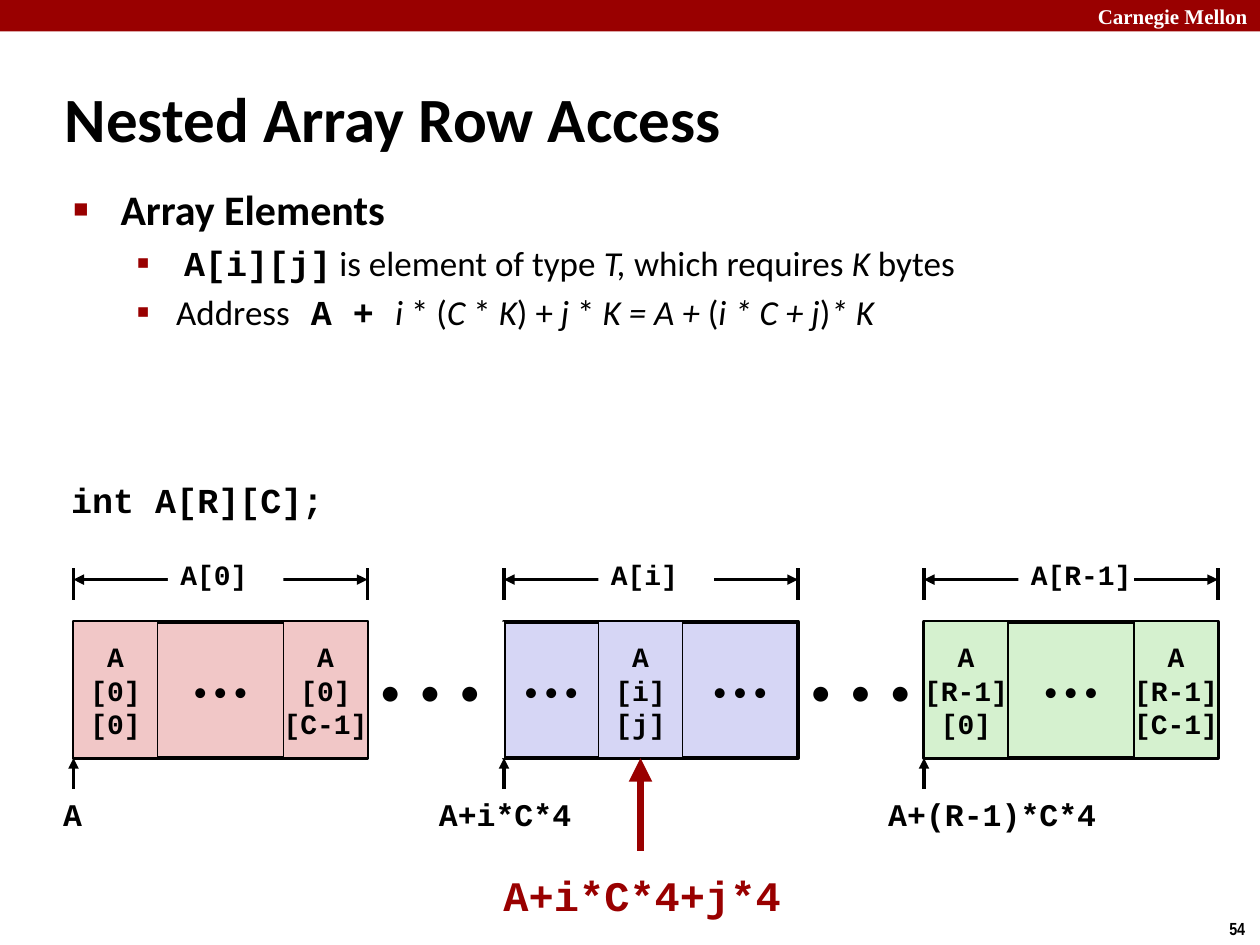
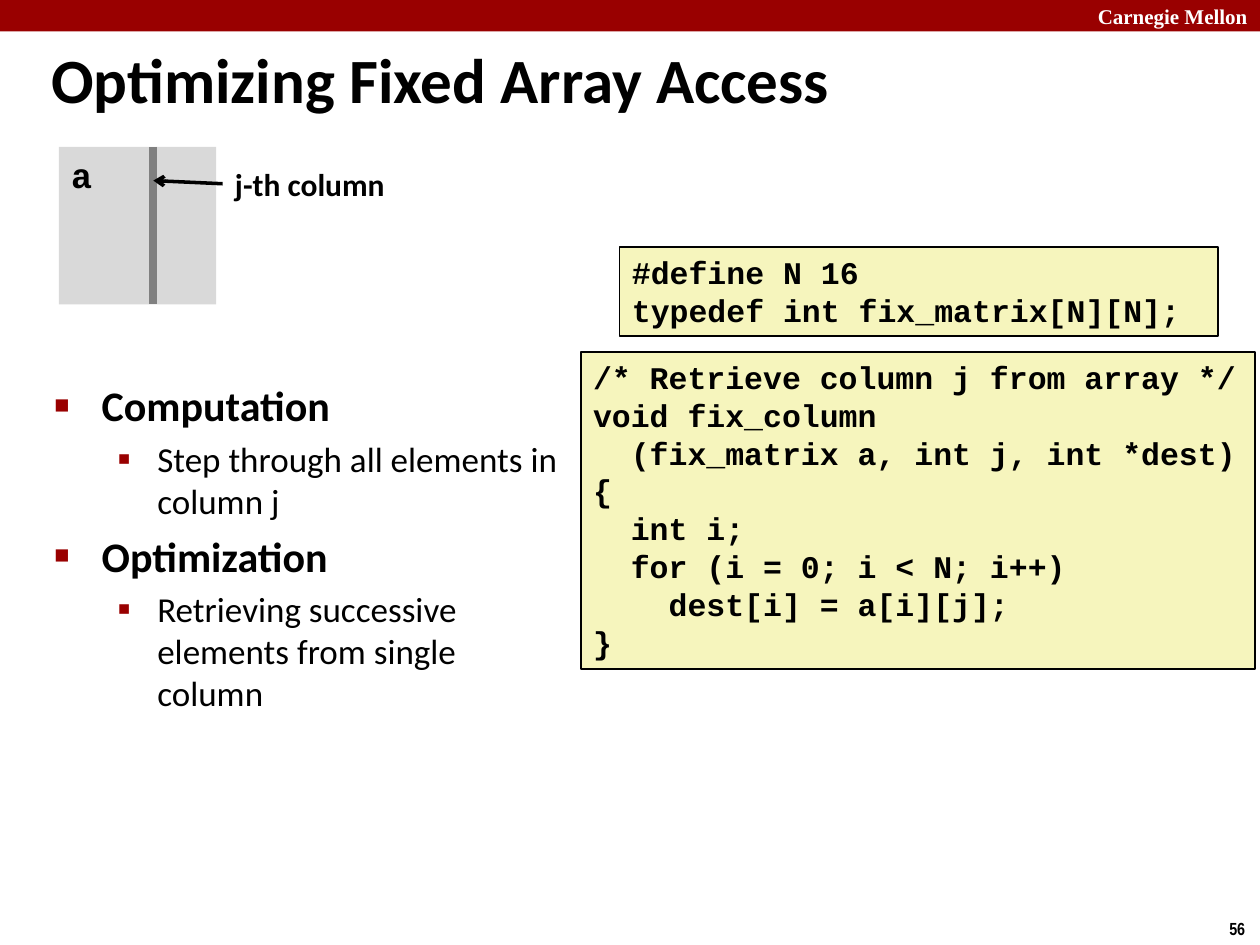
from dataclasses import dataclass
from typing import Any, NamedTuple

import pptx
import pptx.dml.color
import pptx.enum.shapes
import pptx.enum.text
import pptx.oxml
import pptx.oxml.ns
import pptx.util
from lxml import etree

EMU_PER_PX = 7620  # 120 px to the inch
LEFT, CENTER, RIGHT = (pptx.enum.text.PP_ALIGN.LEFT, pptx.enum.text.PP_ALIGN.CENTER,
                       pptx.enum.text.PP_ALIGN.RIGHT)
TOP, MIDDLE = pptx.enum.text.MSO_ANCHOR.TOP, pptx.enum.text.MSO_ANCHOR.MIDDLE
STRAIGHT = pptx.enum.shapes.MSO_CONNECTOR.STRAIGHT
RECTANGLE = pptx.enum.shapes.MSO_SHAPE.RECTANGLE


@dataclass(frozen=True)
class Theme:
    red: str = "990000"
    black: str = "000000"
    white: str = "FFFFFF"
    pink: str = "F1C7C7"
    lavender: str = "D6D6F5"
    green: str = "D5F1CF"
    code_fill: str = "F6F5BD"
    matrix: str = "D9D9D9"
    column: str = "808080"
    sans: str = "Calibri"
    mono: str = "Courier New"
    serif: str = "Times New Roman"
    narrow: str = "Arial Narrow"
    title: int = 36
    heading: int = 24
    body: int = 20
    code: int = 18
    cell: int = 16
    header: int = 12
    number: int = 10


THEME = Theme()


class Area(NamedTuple):
    left: int
    top: int
    width: int
    height: int


class Style(NamedTuple):
    size: int
    name: str = THEME.mono
    bold: bool = True
    color: str = THEME.black
    align: Any = LEFT
    anchor: Any = TOP
    wrap: bool = False


class Span(NamedTuple):
    text: str
    format: dict = {}


class Bullet(NamedTuple):
    level: int
    spans: list


class Level(NamedTuple):
    mark: str
    percent: int
    margin: int
    hang: int
    before: int
    format: dict


class Block(NamedTuple):
    left: int
    name: str
    fill: str
    cells: dict  # offset: lines of text
    gaps: dict  # offset: width
    pointer: str
    pointer_area: Area


LEVELS = [
    Level("■", 60, 45, 45, 5, {"size": pptx.util.Pt(THEME.heading), "bold": True, "name": THEME.sans}),
    Level("▪", 110, 98, 38, 4, {"size": pptx.util.Pt(THEME.body), "bold": False, "name": THEME.sans}),
]
MONO = {"name": THEME.mono, "bold": True}
ITALIC = {"italic": True}

CELL = Style(THEME.cell, align=CENTER, anchor=MIDDLE)
DOTS = CELL._replace(name=THEME.sans, bold=False)
WIDE_DOTS = DOTS._replace(size=THEME.heading, align=LEFT)
LABEL = Style(THEME.cell, anchor=MIDDLE)
CODE = Style(THEME.code, wrap=True)
TITLE = Style(THEME.title, THEME.sans, anchor=MIDDLE, wrap=True)

# Array row geometry
ROW_TOP, ROW_HEIGHT, ROW_WIDTH, CELL_WIDTH = 592, 130, 280, 80
ROW_BOTTOM = ROW_TOP + ROW_HEIGHT
FIRST = Block(70, "A[0]", THEME.pink, {0: ["A", "[0]", "[0]"], 200: ["A", "[0]", "[C-1]"]},
              {80: 120}, "A", Area(43, 751, 52, 48))
MIDDLE_ROW = Block(480, "A[i]", THEME.lavender, {90: ["A", "[i]", "[j]"]},
                   {0: 90, 170: 110}, "A+i*C*4", Area(386, 751, 190, 48))
LAST = Block(880, "A[R-1]", THEME.green, {0: ["A", "[R-1]", "[0]"], 200: ["A", "[R-1]", "[C-1]"]},
             {80: 120}, "A+(R-1)*C*4", Area(830, 751, 230, 48))


# Basic parts
def px(value: int) -> int:
    return pptx.util.Emu(value * EMU_PER_PX)


def rgb(color: str):
    return pptx.dml.color.RGBColor.from_string(color)


def apply(target, values: dict) -> None:
    for name, value in values.items():
        setattr(target, name, value)


def write(box, lines: list[str], style: Style, spacing: int = 0) -> None:
    frame = box.text_frame
    apply(frame, {"word_wrap": style.wrap, "vertical_anchor": style.anchor})
    for index, line in enumerate(lines):
        para = frame.add_paragraph() if index else frame.paragraphs[0]
        para.alignment = style.align
        span = para.add_run()
        span.text = line
        apply(span.font, {"size": pptx.util.Pt(style.size), "name": style.name, "bold": style.bold})
        span.font.color.rgb = rgb(style.color)
        if spacing:
            span.font._element.set("spc", str(spacing))


def add_text(page, area: Area, lines: list[str], style: Style):
    box = page.shapes.add_textbox(*map(px, area))
    write(box, lines, style)
    return box


def add_box(page, area: Area, fill: str, line_width: float = 0):
    box = page.shapes.add_shape(RECTANGLE, *map(px, area))
    box.shadow.inherit = False
    box.fill.solid()
    box.fill.fore_color.rgb = rgb(fill)
    if line_width:
        box.line.color.rgb = rgb(THEME.black)
        box.line.width = pptx.util.Pt(line_width)
    else:
        box.line.fill.background()
    return box


def add_line(page, start: tuple[int, int], end: tuple[int, int], width: float = 2,
             color: str = THEME.black, head: str = "", tail: str = ""):
    line = page.shapes.add_connector(STRAIGHT, *map(px, start + end))
    line.line.color.rgb = rgb(color)
    line.line.width = pptx.util.Pt(width)
    properties = line.element.spPr
    outline = properties.find(pptx.oxml.ns.qn("a:ln"))
    for tag, kind in (("a:headEnd", head), ("a:tailEnd", tail)):
        if kind:
            etree.SubElement(outline, pptx.oxml.ns.qn(tag), type=kind)
    etree.SubElement(properties, pptx.oxml.ns.qn("a:effectLst"))
    return line


def add_bullets(page, area: Area, bullets: list[Bullet]) -> None:
    frame = page.shapes.add_textbox(*map(px, area)).text_frame
    frame.word_wrap = True
    for index, bullet in enumerate(bullets):
        level = LEVELS[bullet.level]
        para = frame.add_paragraph() if index else frame.paragraphs[0]
        para.level = bullet.level
        properties = para._p.get_or_add_pPr()
        properties.set("marL", str(px(level.margin)))
        properties.set("indent", str(-px(level.hang)))
        color = etree.SubElement(properties, pptx.oxml.ns.qn("a:buClr"))
        etree.SubElement(color, pptx.oxml.ns.qn("a:srgbClr"), val=THEME.red)
        etree.SubElement(properties, pptx.oxml.ns.qn("a:buSzPct"), val=str(level.percent * 1000))
        etree.SubElement(properties, pptx.oxml.ns.qn("a:buFont"), typeface=THEME.serif)
        etree.SubElement(properties, pptx.oxml.ns.qn("a:buChar"), char=level.mark)
        if index:
            para.space_before = pptx.util.Pt(level.before)
        for part in bullet.spans:
            span = para.add_run()
            span.text = part.text
            apply(span.font, level.format | part.format)
            span.font.color.rgb = rgb(THEME.black)


# Shared page: band, title and number
def add_page(deck, title: str, title_area: Area, number: int):
    page = deck.slides.add_slide(deck.slide_layouts[6])
    add_box(page, Area(0, 0, 1200, 30), THEME.red)
    add_text(page, Area(1000, 0, 200, 30), ["Carnegie Mellon"],
             Style(THEME.header, THEME.serif, color=THEME.white, align=RIGHT, anchor=MIDDLE, wrap=True))
    add_text(page, Area(1159, 868, 41, 32), [str(number)], Style(THEME.number, THEME.narrow))
    add_text(page, title_area, [title], TITLE)
    return page


# Array row diagram
def add_row_gap(page, left: int) -> None:
    box = add_box(page, Area(left, ROW_TOP, ROW_HEIGHT, ROW_HEIGHT), THEME.white)
    write(box, ["• • •"], WIDE_DOTS, spacing=270)


def add_block(page, block: Block) -> list:
    left, right = block.left, block.left + ROW_WIDTH
    add_box(page, Area(left, ROW_TOP, ROW_WIDTH, ROW_HEIGHT), block.fill, 2.25)
    for offset, width in block.gaps.items():
        add_text(page, Area(left + offset, ROW_TOP, width, ROW_HEIGHT), ["• • •"], DOTS)
    cells = []
    for offset, lines in block.cells.items():
        cell = add_box(page, Area(left + offset, ROW_TOP, CELL_WIDTH, ROW_HEIGHT), block.fill, 1)
        write(cell, lines, CELL)
        cells.append(cell)
    for edge in (left, right):
        add_line(page, (edge, 541), (edge, 571))
    add_line(page, (left, 552), (right, 552), head="triangle", tail="triangle")
    write(add_box(page, Area(left + 90, 522, 110, 50), THEME.white), [block.name], LABEL)
    add_line(page, (left, 751), (left, ROW_BOTTOM), tail="triangle")
    add_text(page, block.pointer_area, [block.pointer], CODE._replace(align=CENTER))
    return cells


def build_row_access(deck) -> None:
    page = add_page(deck, "Nested Array Row Access", Area(50, 74, 910, 76), 54)
    add_bullets(page, Area(58, 169, 1022, 191), [
        Bullet(0, [Span("Array Elements")]),
        Bullet(1, [Span(" "), Span("A[i][j]", MONO), Span(" is element of type "), Span("T, ", ITALIC),
                   Span("which requires "), Span("K", ITALIC), Span(" bytes")]),
        Bullet(1, [Span("Address"), Span(" A + ", MONO), Span("i ", ITALIC), Span("* ("),
                   Span("C ", ITALIC), Span("* "), Span("K", ITALIC), Span(") + "),
                   Span("j", ITALIC), Span(" * "), Span("K = A + ", ITALIC), Span("("),
                   Span("i * C + j", ITALIC), Span(")"), Span("* K", ITALIC)]),
    ])
    add_text(page, Area(56, 450, 320, 52), ["int A[R][C];"], Style(THEME.body))
    add_row_gap(page, MIDDLE_ROW.left + ROW_WIDTH)
    element = add_block(page, MIDDLE_ROW)[0]
    add_block(page, LAST)
    add_row_gap(page, FIRST.left + ROW_WIDTH)
    add_block(page, FIRST)
    # Address of the chosen element
    arrow = add_line(page, (610, 810), (610, ROW_BOTTOM), 4.5, THEME.red, tail="triangle")
    arrow.end_connect(element, 2)
    add_text(page, Area(443, 822, 337, 60), ["A+i*C*4+j*4"],
             Style(THEME.heading, color=THEME.red, align=CENTER, wrap=True))


def build_column_access(deck) -> None:
    page = add_page(deck, "Optimizing Fixed Array Access", Area(37, 37, 833, 76), 56)
    add_bullets(page, Area(40, 356, 508, 514), [
        Bullet(0, [Span("Computation")]),
        Bullet(1, [Span("Step through all elements in column j")]),
        Bullet(0, [Span("Optimization")]),
        Bullet(1, [Span("Retrieving successive elements from single column")]),
    ])
    # Code listings
    listings = {
        Area(590, 235, 570, 85): ["#define N 16", "typedef int fix_matrix[N][N];"],
        Area(553, 335, 642, 302): [
            "/* Retrieve column j from array */",
            "void fix_column",
            "  (fix_matrix a, int j, int *dest)",
            "{",
            "  int i;",
            "  for (i = 0; i < N; i++)",
            "    dest[i] = a[i][j];",
            "}",
        ],
    }
    for area, lines in listings.items():
        write(add_box(page, area, THEME.code_fill, 1), lines, CODE)
    # Matrix with its j-th column
    write(add_box(page, Area(56, 140, 150, 150), THEME.matrix), ["a"], Style(THEME.body, wrap=True))
    add_line(page, (146, 140), (146, 290), 4.5, THEME.column)
    label = add_text(page, Area(212, 151, 167, 48), ["j-th column"], Style(THEME.code, THEME.sans))
    arrow = add_line(page, (212, 175), (146, 172), tail="arrow")
    arrow.begin_connect(label, 1)


def main() -> None:
    deck = pptx.Presentation()
    apply(deck, {"slide_width": px(1200), "slide_height": px(900)})
    build_row_access(deck)
    build_column_access(deck)
    deck.save("out.pptx")


if __name__ == "__main__":
    main()
